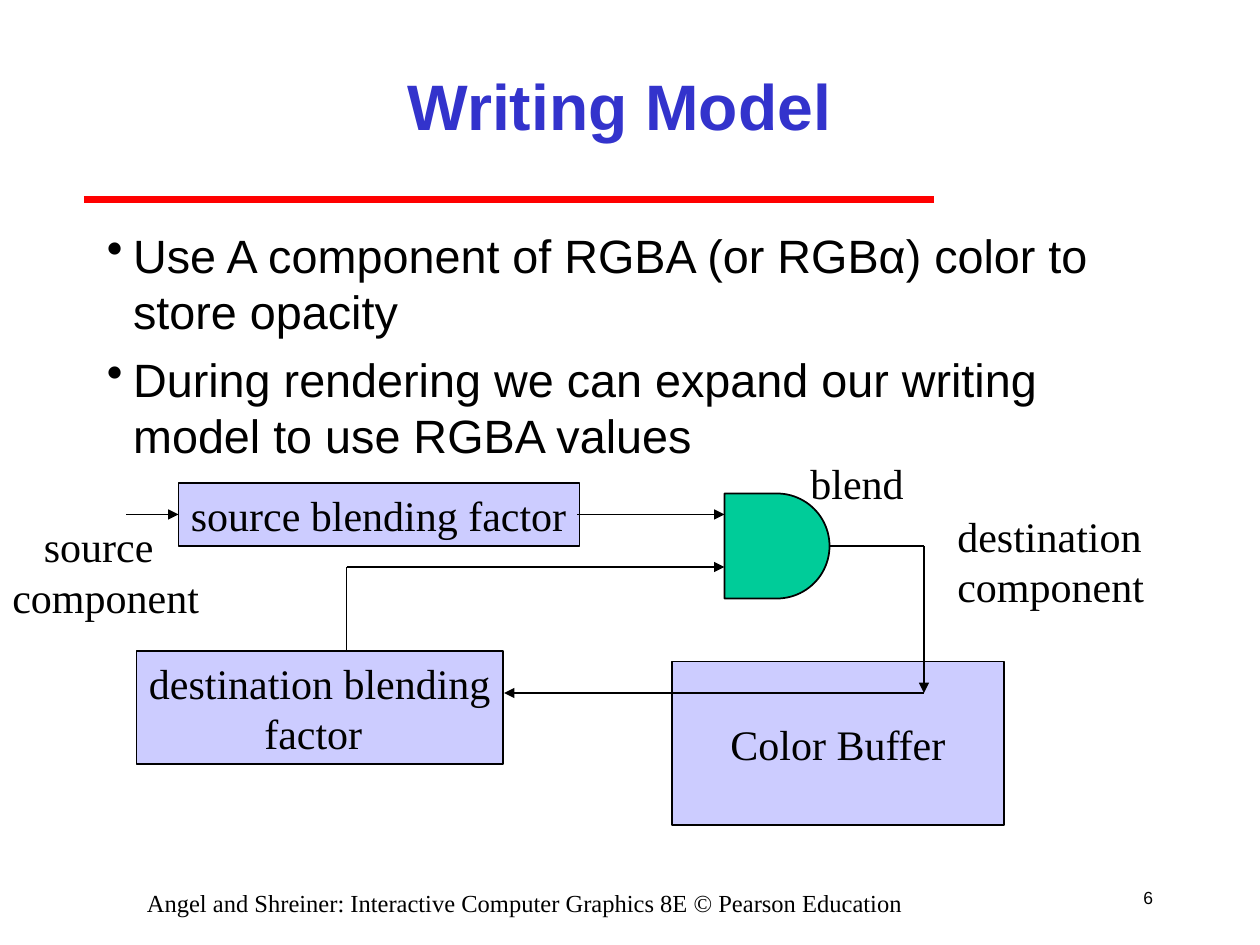
from lxml import etree
from pptx import Presentation
from pptx.dml.color import RGBColor
from pptx.enum.shapes import MSO_CONNECTOR, MSO_SHAPE
from pptx.enum.text import MSO_ANCHOR, PP_ALIGN
from pptx.oxml.ns import qn
from pptx.util import Inches, Pt

STRAIGHT = MSO_CONNECTOR.STRAIGHT
RECTANGLE, DELAY = MSO_SHAPE.RECTANGLE, MSO_SHAPE.FLOWCHART_DELAY
TOP, MIDDLE = MSO_ANCHOR.TOP, MSO_ANCHOR.MIDDLE
LEFT, CENTER, RIGHT = PP_ALIGN.LEFT, PP_ALIGN.CENTER, PP_ALIGN.RIGHT
BLACK, BLUE, RED, GREEN, LAVENDER = "000000", "3333CC", "FF0000", "00CC99", "CCCCFF"

LABEL = {"name": "Times New Roman", "size": Pt(24)}
FOOTER = {"name": "Times New Roman", "size": Pt(14)}
NUMBER = {"name": "Arial", "size": Pt(10)}
TITLE = {"name": "Arial", "size": Pt(36.7), "bold": True}
BODY = {"name": "Arial", "size": Pt(26.7)}


def color(value):
    return RGBColor.from_string(value)


def grid(*units):
    return [Inches(unit / 12) for unit in units]


def apply(target, values):
    for name, value in values.items():
        setattr(target, name, value)


class SlideBuilder:
    """Draws styled elements on a slide with a grid of 120 columns and 90 rows."""

    def __init__(self, presentation):
        self.slide = presentation.slides.add_slide(presentation.slide_layouts[6])

    def fill_text(self, shape, lines, font, ink=BLACK, align=LEFT, anchor=TOP,
                  wrap=True, indents=(), bullet=None, gap=0):
        frame = shape.text_frame
        apply(frame, {"word_wrap": wrap, "vertical_anchor": anchor})
        for index, line in enumerate(lines):
            paragraph = frame.add_paragraph() if index else frame.paragraphs[0]
            paragraph.text = line
            apply(paragraph, {"alignment": align, "space_before": Pt(gap if index else 0)})
            properties = paragraph._p.get_or_add_pPr()
            if indents:
                properties.set("marL", str(grid(indents[index])[0]))
            if bullet:
                properties.set("indent", str(-grid(indents[index])[0]))
                etree.SubElement(properties, qn("a:buChar"), char=bullet)
            apply(paragraph.font, font)
            paragraph.font.color.rgb = color(ink)

    def text(self, box, lines, font, **options):
        self.fill_text(self.slide.shapes.add_textbox(*grid(*box)), lines, font, **options)

    def block(self, kind, box, fill, lines=(), **options):
        shape = self.slide.shapes.add_shape(kind, *grid(*box))
        shape.shadow.inherit = False
        shape.fill.solid()
        shape.fill.fore_color.rgb = color(fill)
        shape.line.color.rgb = color(BLACK)
        shape.line.width = Pt(1)
        if lines:
            self.fill_text(shape, lines, LABEL, **options)

    def line(self, start, end, arrow=False, ink=BLACK, width=1):
        connector = self.slide.shapes.add_connector(STRAIGHT, *grid(*start, *end))
        connector.line.color.rgb = color(ink)
        connector.line.width = Pt(width)
        if arrow:
            etree.SubElement(connector.line._get_or_add_ln(), qn("a:tailEnd"), type="triangle")
        etree.SubElement(connector._element.spPr, qn("a:effectLst"))


def main():
    presentation = Presentation()
    presentation.slide_width, presentation.slide_height = grid(120, 90)
    page = SlideBuilder(presentation)

    page.line((8, 19), (89, 19), ink=RED, width=4)
    page.text((18, 3, 82, 14), ["Writing Model"], TITLE, ink=BLUE, align=CENTER, anchor=MIDDLE)
    page.text((9, 21, 102, 62), [
        "Use A component of RGBA (or RGBα) color to store opacity",
        "During rendering we can expand our writing model to use RGBA values",
    ], BODY, bullet="•", indents=(2.5, 2.5), gap=6.8)

    page.block(DELAY, (69, 47, 10, 10), GREEN)
    page.block(RECTANGLE, (64, 63, 31.6, 15.6), LAVENDER, ["Color Buffer"],
               align=CENTER, anchor=MIDDLE)
    page.block(RECTANGLE, (13, 62, 34.9, 10.8), LAVENDER,
               ["destination blending", "factor"], wrap=False, indents=(0, 11))
    page.block(RECTANGLE, (17, 46, 38.2, 6), LAVENDER, ["source blending factor"], wrap=False)

    for start, end, arrow in [
        ((79, 52), (88, 52), False),
        ((88, 52), (88, 66), True),
        ((88, 66), (48, 66), True),
        ((33, 62), (33, 54), False),
        ((33, 54), (69, 54), True),
        ((55, 49), (69, 49), True),
        ((12, 49), (17, 49), True),
    ]:
        page.line(start, end, arrow)

    page.text((90, 48, 20.2, 10.8), ["destination", "component"], LABEL, wrap=False)
    page.text((76, 43, 11.3, 6), ["blend"], LABEL, wrap=False)
    page.text((0, 49, 20.2, 10.8), ["source", "component"], LABEL, wrap=False, indents=(3, 0))
    page.text((6, 84, 88, 3),
              ["Angel and Shreiner: Interactive Computer Graphics 8E © Pearson Education"],
              FOOTER, align=CENTER)
    page.text((106, 83, 5, 5), ["6"], NUMBER, align=RIGHT, anchor=MIDDLE)
    presentation.save("out.pptx")


if __name__ == "__main__":
    main()
